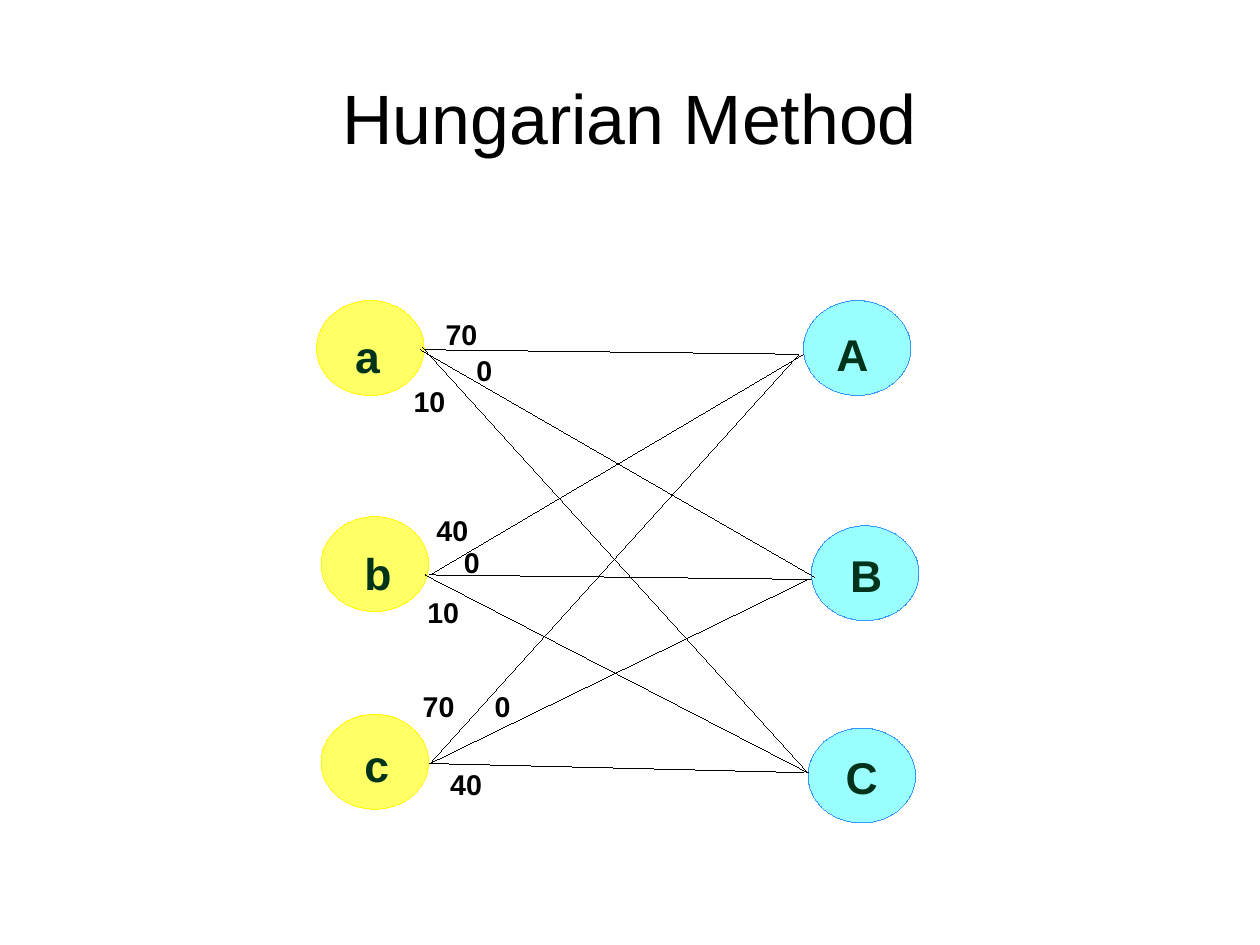
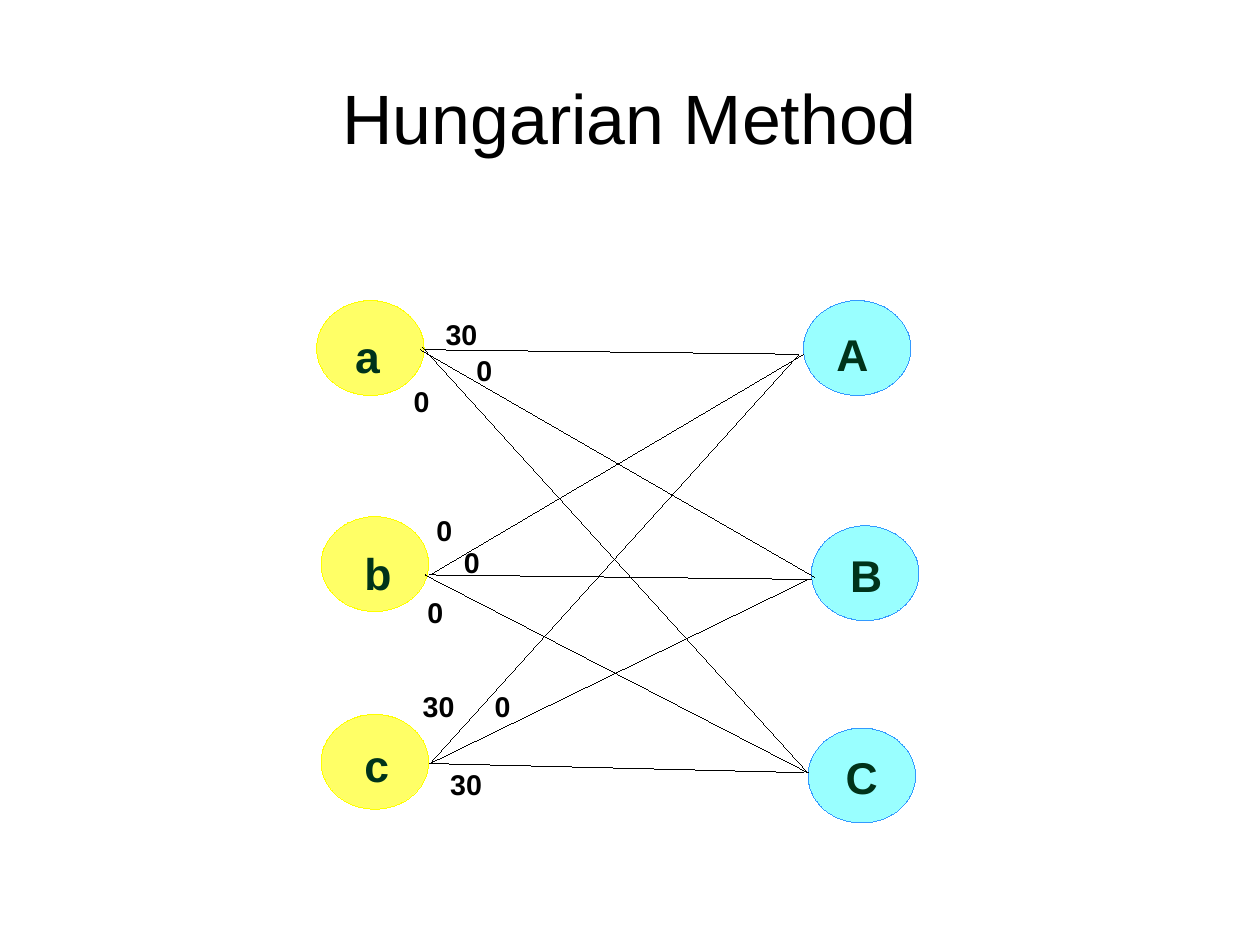
from dataclasses import dataclass

from lxml.etree import SubElement
from pptx import Presentation
from pptx.dml.color import RGBColor
from pptx.enum.shapes import MSO_CONNECTOR as Connector, MSO_SHAPE as Preset
from pptx.enum.text import MSO_ANCHOR as Anchor, PP_ALIGN as Align
from pptx.oxml.ns import qn
from pptx.util import Cm, Inches, Pt

WIDTH, HEIGHT = Cm(28), Cm(21)
FONT = "Arial"
HAIRLINE = Pt(0.01)
COLORS = {
    "ink": "000000", "letter": "00331A",
    "left_fill": "FFFF66", "left_line": "FFFF00",
    "right_fill": "99FFFF", "right_line": "3399FF",
}


@dataclass
class Area:
    """A region in inches, divided into a grid of columns and rows."""
    left: float
    top: float
    width: float
    height: float
    columns: int = 1
    rows: int = 1

    def spot(self, column, row):
        return (Inches(self.left + column * self.width / self.columns),
                Inches(self.top + row * self.height / self.rows))

    def size(self, columns, rows):
        return (Inches(columns * self.width / self.columns),
                Inches(rows * self.height / self.rows))


TITLE_AREA = Area(0.05 * WIDTH.inches, 0.04 * HEIGHT.inches,
                  0.9 * WIDTH.inches, 1.38)
GRAPH_AREA = Area(2.77, 2.63, 5.3, 4.6, columns=53, rows=46)
NODE_SIZE = (9.4, 8.3)
LETTER_SIZE = (4.7, 5.3)
WEIGHT_SIZE = (6.7, 3.8)

# letter: (side, node corner, letter's shift from that corner)
NODES = {
    "a": ("left", (0, 0), (2.4, 2)),
    "b": ("left", (0.4, 18.9), (2.8, 2.1)),
    "c": ("left", (0.4, 36.2), (2.8, 1.6)),
    "A": ("right", (42.6, 0), (1.9, 1.8)),
    "B": ("right", (43.3, 19.7), (2.4, 1.5)),
    "C": ("right", (43, 37.4), (2.3, 1.4)),
}
# (start, end, corner of the weight), row by row of the cost matrix
EDGES = [
    ((9.5, 4.3), (42.2, 4.7), (10.3, 0.9)),
    ((9.1, 4.3), (43.6, 24.2), (13, 4.1)),
    ((9.3, 4.1), (43, 41.3), (7.5, 6.8)),
    ((9.9, 24), (42.6, 4.7), (9.5, 18.1)),
    ((9.9, 24), (43.3, 24.4), (11.9, 20.9)),
    ((9.5, 24), (43, 41.3), (8.7, 25.3)),
    ((9.9, 40.5), (42.2, 4.7), (8.3, 33.5)),
    ((9.9, 40.5), (43, 24.4), (14.6, 33.5)),
    ((9.9, 40.5), (42.6, 41.3), (10.7, 40.3)),
]
COST_MATRICES = [
    [[70, 0, 10], [40, 0, 10], [70, 0, 40]],
    [[30, 0, 0], [0, 0, 0], [30, 0, 30]],
]


def rgb(name):
    return RGBColor.from_string(COLORS[name])


def add_text(page, area, corner, size, text, points, color="ink", bold=True):
    box = page.shapes.add_textbox(*area.spot(*corner), *area.size(*size))
    frame = box.text_frame
    frame.word_wrap = True
    span = frame.paragraphs[0].add_run()
    span.text = text
    span.font.name, span.font.size, span.font.bold = FONT, Pt(points), bold
    span.font.color.rgb = rgb(color)
    return frame


def add_title(page, area, text):
    frame = add_text(page, area, (0, 0), (1, 1), text, 44, bold=False)
    frame.margin_left = frame.margin_right = 0
    frame.margin_top = frame.margin_bottom = 0
    frame.vertical_anchor = Anchor.MIDDLE
    frame.paragraphs[0].alignment = Align.CENTER


def add_node(page, area, side, corner):
    node = page.shapes.add_shape(
        Preset.OVAL, *area.spot(*corner), *area.size(*NODE_SIZE))
    node.shadow.inherit = False
    node.fill.solid()
    node.fill.fore_color.rgb = rgb(f"{side}_fill")
    node.line.color.rgb = rgb(f"{side}_line")
    node.line.width = HAIRLINE


def add_edge(page, area, start, end):
    edge = page.shapes.add_connector(
        Connector.STRAIGHT, *area.spot(*start), *area.spot(*end))
    edge.line.color.rgb = rgb("ink")
    edge.line.width = HAIRLINE
    SubElement(edge._element.spPr, qn("a:effectLst"))


def add_graph(page, area, costs):
    """Draw the bipartite graph, with each cost beside its edge."""
    for side, corner, _ in NODES.values():
        add_node(page, area, side, corner)
    for start, end, _ in EDGES:
        add_edge(page, area, start, end)
    for letter, (_, (column, row), (right, down)) in NODES.items():
        add_text(page, area, (column + right, row + down), LETTER_SIZE,
                 letter, 28, "letter")
    weights = [cost for row in costs for cost in row]
    for (_, _, corner), weight in zip(EDGES, weights):
        add_text(page, area, corner, WEIGHT_SIZE, str(weight), 18)


def main():
    deck = Presentation()
    deck.slide_width, deck.slide_height = WIDTH, HEIGHT
    for costs in COST_MATRICES:
        page = deck.slides.add_slide(deck.slide_layouts[6])
        add_title(page, TITLE_AREA, "Hungarian Method")
        add_graph(page, GRAPH_AREA, costs)
    deck.save("out.pptx")


if __name__ == "__main__":
    main()
